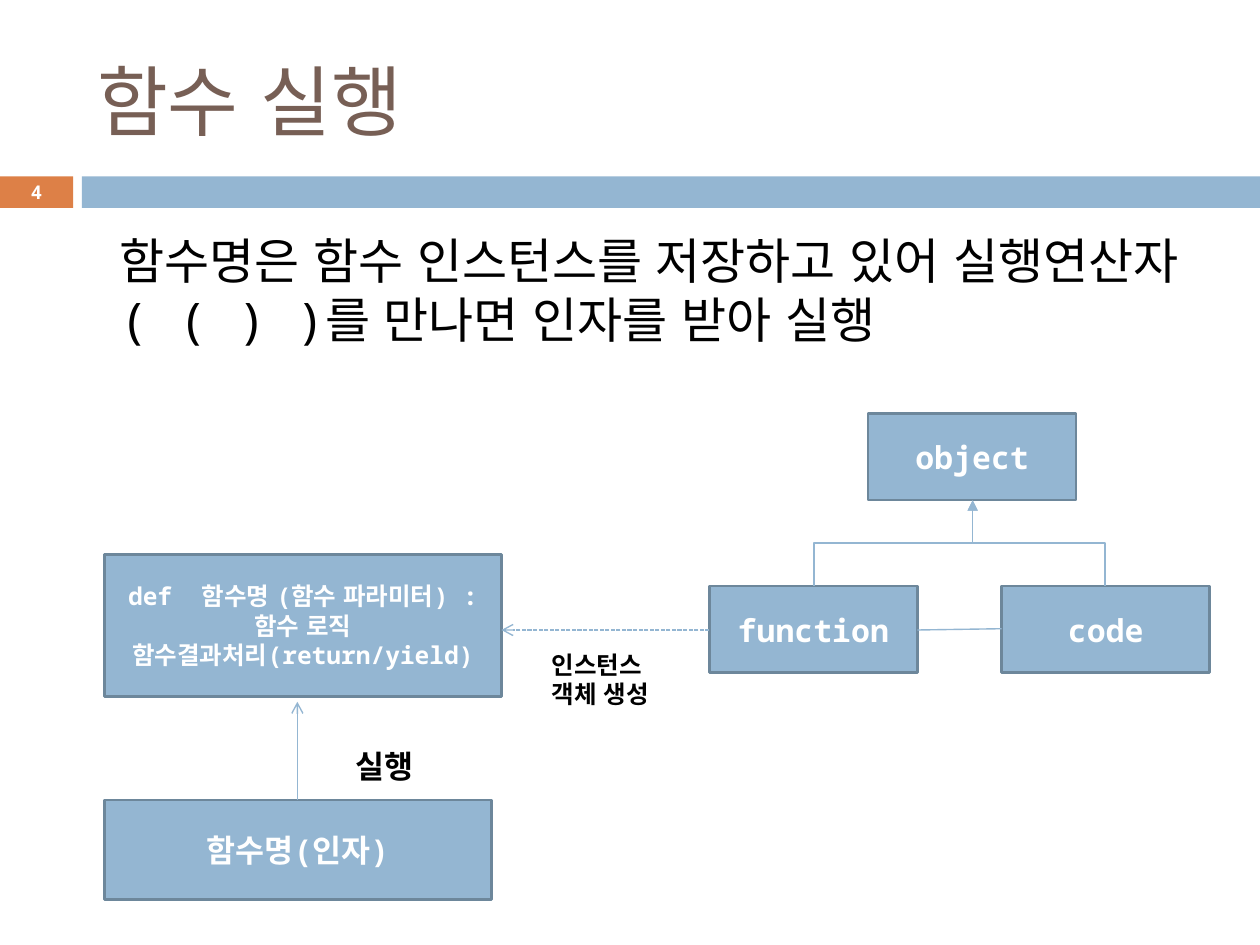
import pptx
import pptx.dml.color
import pptx.enum.dml
import pptx.enum.lang
import pptx.enum.shapes
import pptx.enum.text
import pptx.oxml
import pptx.oxml.ns
import pptx.util
from pptx.util import Inches

FONT = "Noto Sans Mono"
COLORS = {
    "accent": "DD8047",
    "blue": "94B6D2",
    "outline": "6D879B",
    "title": "775F55",
    "white": "FFFFFF",
    "black": "000000",
}
ALIGN = pptx.enum.text.PP_ALIGN
ANCHOR = pptx.enum.text.MSO_ANCHOR
CONNECTOR = pptx.enum.shapes.MSO_CONNECTOR


def color(name):
    return pptx.dml.color.RGBColor.from_string(COLORS[name])


def add_child(parent, tag, **attributes):
    child = pptx.oxml.parse_xml(f"<{tag} {pptx.oxml.ns.nsdecls('a')}/>")
    for name, value in attributes.items():
        child.set(name, value)
    parent.append(child)


def write_text(shape, lines, size, color_name, bold=False, align=ALIGN.CENTER, anchor=ANCHOR.MIDDLE):
    frame = shape.text_frame
    frame.word_wrap = True
    frame.auto_size = pptx.enum.text.MSO_AUTO_SIZE.NONE
    frame.vertical_anchor = anchor
    for index, line in enumerate(lines):
        paragraph = frame.add_paragraph() if index else frame.paragraphs[0]
        paragraph.alignment = align
        run = paragraph.add_run()
        run.text = line
        run.font.name = FONT
        run.font.size = pptx.util.Pt(size)
        run.font.bold = bold
        run.font.color.rgb = color(color_name)
        run.font.language_id = pptx.enum.lang.MSO_LANGUAGE_ID.KOREAN


def place(shape, left, top, width, height):
    shape.left, shape.top = Inches(left), Inches(top)
    shape.width, shape.height = Inches(width), Inches(height)


def add_rectangle(slide, left, top, width, height, fill, outline=None):
    shape = slide.shapes.add_shape(
        pptx.enum.shapes.MSO_SHAPE.RECTANGLE, Inches(left), Inches(top), Inches(width), Inches(height))
    shape.shadow.inherit = False
    shape.fill.solid()
    shape.fill.fore_color.rgb = color(fill)
    if outline:
        shape.line.color.rgb = color(outline)
        shape.line.width = pptx.util.Pt(1.5)
    else:
        shape.line.fill.background()
    return shape


def add_box(slide, left, top, width, height, lines, size=18):
    shape = add_rectangle(slide, left, top, width, height, "blue", "outline")
    write_text(shape, lines, size, "white", bold=True)


def add_label(slide, left, top, width, height, lines, size, color_name="black",
              align=ALIGN.CENTER, anchor=ANCHOR.TOP):
    label = slide.shapes.add_textbox(Inches(left), Inches(top), Inches(width), Inches(height))
    write_text(label, lines, size, color_name, True, align, anchor)


def add_line(slide, start, end, kind=CONNECTOR.STRAIGHT, arrow=None, dashed=False):
    connector = slide.shapes.add_connector(kind, *(Inches(value) for value in (*start, *end)))
    connector.line.color.rgb = color("blue")
    connector.line.width = pptx.util.Pt(0.79)
    if dashed:
        connector.line.dash_style = pptx.enum.dml.MSO_LINE.SQUARE_DOT
    properties = connector._element.spPr
    if arrow:
        add_child(properties.find(pptx.oxml.ns.qn("a:ln")), "a:tailEnd", type=arrow)
    add_child(properties, "a:effectLst")
    return connector


def add_upward_elbow(slide, start, end):
    center_x, center_y = (start[0] + end[0]) / 2, (start[1] + end[1]) / 2
    half_rise, half_run = (start[1] - end[1]) / 2, (end[0] - start[0]) / 2
    connector = add_line(
        slide, (center_x - half_rise, center_y - half_run),
        (center_x + half_rise, center_y + half_run), CONNECTOR.ELBOW, "triangle")
    transform = connector._element.spPr.find(pptx.oxml.ns.qn("a:xfrm"))
    transform.set("rot", str(270 * 60000))


def add_heading(slide):
    title = slide.shapes.title
    place(title, 0.67, 0.25, 8.92, 1.08)
    write_text(title, ["함수 실행"], 44, "title", align=ALIGN.LEFT)
    add_rectangle(slide, 0, 1.4, 0.58, 0.25, "accent")
    add_rectangle(slide, 0.65, 1.4, 9.35, 0.25, "blue")
    add_label(slide, 0, 1.39, 0.58, 0.27, ["4"], 10.8, "white", anchor=ANCHOR.MIDDLE)


def add_body(slide):
    body = slide.placeholders[1]
    place(body, 0.5, 1.78, 9, 1.42)
    write_text(body, ["함수명은 함수 인스턴스를 저장하고 있어 실행연산자( ( ) )를 만나면 인자를 받아 실행"],
               28, "black", align=ALIGN.LEFT, anchor=ANCHOR.TOP)
    paragraph = body.text_frame.paragraphs[0]
    paragraph.space_before = pptx.util.Pt(5.5)
    properties = paragraph._element.get_or_add_pPr()
    properties.set("marL", str(Inches(0.35)))
    properties.set("indent", "0")
    add_child(properties, "a:buNone")


def add_diagram(slide):
    add_box(slide, 0.83, 6.35, 3.07, 0.79, ["함수명(인자)"])
    add_box(slide, 0.83, 4.4, 3.15, 1.13,
            ["def  함수명 (함수 파라미터) :", "함수 로직", "함수결과처리(return/yield)"], 14)
    for name, left, top in (("object", 6.89, 3.28), ("function", 5.63, 4.65), ("code", 7.95, 4.65)):
        add_box(slide, left, top, 1.65, 0.69, [name])
    for child_center in (6.46, 8.77):
        add_upward_elbow(slide, (child_center, 4.65), (7.72, 3.97))
    add_line(slide, (7.28, 5), (7.95, 4.99))
    add_line(slide, (5.63, 5), (3.98, 5), arrow="arrow", dashed=True)
    add_line(slide, (2.36, 6.35), (2.36, 5.57), arrow="arrow")
    add_label(slide, 3.9, 5.11, 1.73, 0.57, ["인스턴스 ", "객체 생성"], 14)
    add_label(slide, 2.72, 5.88, 1.02, 0.4, ["실행"], 18, align=ALIGN.LEFT)


def main():
    presentation = pptx.Presentation()
    presentation.slide_width = Inches(10)
    presentation.slide_height = Inches(7.5)
    slide = presentation.slides.add_slide(presentation.slide_layouts[1])
    add_heading(slide)
    add_body(slide)
    add_diagram(slide)
    presentation.save("out.pptx")


if __name__ == "__main__":
    main()
